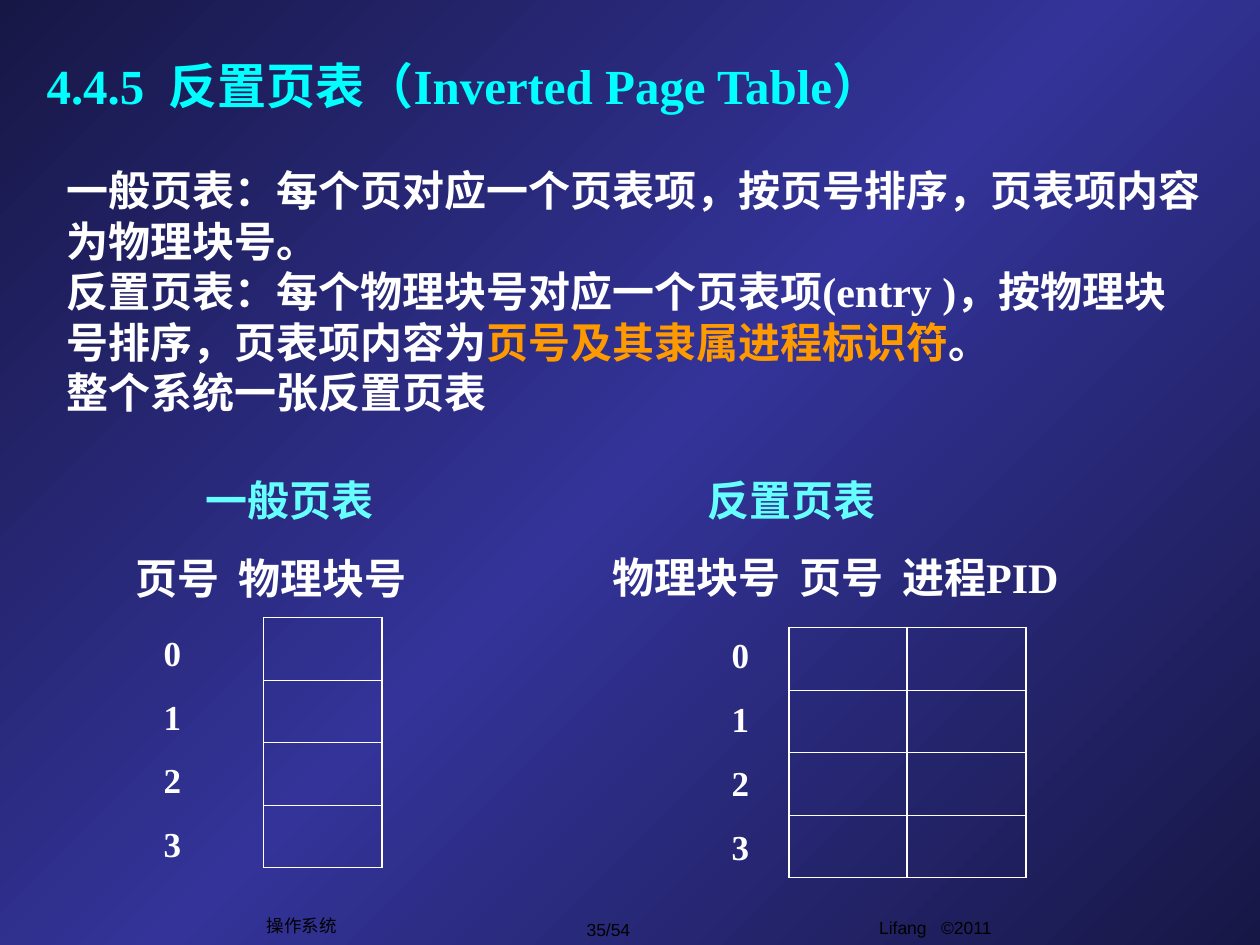
import copy

import pptx
import pptx.dml.color
import pptx.enum.text
import pptx.oxml
import pptx.oxml.ns
import pptx.util
from pptx.util import Cm

RGBColor = pptx.dml.color.RGBColor
Align = pptx.enum.text.PP_ALIGN
Anchor = pptx.enum.text.MSO_ANCHOR

NAVY = RGBColor(0x17, 0x17, 0x46)
INDIGO = RGBColor(0x33, 0x33, 0x99)
WHITE = RGBColor(0xFF, 0xFF, 0xFF)
BLACK = RGBColor(0x00, 0x00, 0x00)
CYAN = RGBColor(0x00, 0xFF, 0xFF)
PALE_CYAN = RGBColor(0x66, 0xFF, 0xFF)
ORANGE = RGBColor(0xFF, 0x99, 0x00)

THICK, THIN = 1.08, 0.45
FRAMES = 4
ROW_HEIGHT = Cm(1.26)
COLUMN_WIDTH = Cm(2.39)


class PageTableSlide:
    """Holds the text style and the slide being filled."""

    serif = "Times New Roman"
    sans = "Arial"

    def __init__(self, slide):
        self.slide = slide

    def background(self, edge, middle):
        fill = self.slide.background.fill
        fill.gradient()
        fill.gradient_angle = 135
        stop_list = self.slide.element.xpath(".//p:bg//a:gsLst")[0]
        stop_list.insert(1, copy.deepcopy(stop_list[0]))
        stop_list[1].set("pos", "50000")
        for stop, color in zip(fill.gradient_stops, (edge, middle, edge)):
            stop.color.rgb = color

    def text(self, place, paragraphs, size, color=WHITE, gap=0, tab=None):
        """Add bold serif text; a paragraph is a string or (string, colour) parts."""
        frame = self.slide.shapes.add_textbox(*map(Cm, place)).text_frame
        frame.word_wrap = True
        for index, content in enumerate(paragraphs):
            paragraph = frame.paragraphs[0] if index == 0 else frame.add_paragraph()
            if tab:
                self.tab_stop(paragraph, tab)
            if index and gap:
                paragraph.space_before = pptx.util.Pt(gap)
            self.font(paragraph, self.serif, size, color, True)
            parts = [(content, None)] if isinstance(content, str) else content
            for words, accent in parts:
                run = paragraph.add_run()
                run.text = words
                if accent is not None:
                    run.font.color.rgb = accent

    def footer(self, place, words, wrap=False):
        frame = self.slide.shapes.add_textbox(*map(Cm, place)).text_frame
        frame.word_wrap = wrap
        frame.vertical_anchor = Anchor.TOP if wrap else Anchor.MIDDLE
        paragraph = frame.paragraphs[0]
        paragraph.text = words
        paragraph.alignment = Align.CENTER
        self.font(paragraph, self.sans, 10, BLACK, False)

    def column(self, left, top):
        """Add one empty table column with a thicker outer frame."""
        table = self.slide.shapes.add_table(
            FRAMES, 1, Cm(left), Cm(top), COLUMN_WIDTH, FRAMES * ROW_HEIGHT
        ).table
        table.first_row = table.horz_banding = False
        for index, row in enumerate(table.rows):
            row.height = ROW_HEIGHT
            cell = row.cells[0]
            self.border(cell, "L", THICK)
            self.border(cell, "R", THICK)
            self.border(cell, "T", THICK if index == 0 else THIN)
            self.border(cell, "B", THICK if index == FRAMES - 1 else THIN)
            cell.fill.background()

    @staticmethod
    def font(paragraph, name, size, color, bold):
        font = paragraph.font
        font.name, font.size, font.bold = name, pptx.util.Pt(size), bold
        font.color.rgb = color

    @staticmethod
    def tab_stop(paragraph, position):
        properties = paragraph._p.get_or_add_pPr()
        properties.append(pptx.oxml.parse_xml(
            f'<a:tabLst {pptx.oxml.ns.nsdecls("a")}>'
            f'<a:tab pos="{Cm(position)}" algn="l"/></a:tabLst>'
        ))

    @staticmethod
    def border(cell, side, width):
        cell._tc.get_or_add_tcPr().append(pptx.oxml.parse_xml(
            f'<a:ln{side} {pptx.oxml.ns.nsdecls("a")} w="{pptx.util.Pt(width)}">'
            f'<a:solidFill><a:srgbClr val="{WHITE}"/></a:solidFill></a:ln{side}>'
        ))


def main():
    deck = pptx.Presentation()
    deck.slide_width, deck.slide_height = Cm(25.4), Cm(19.05)
    page = PageTableSlide(deck.slides.add_slide(deck.slide_layouts[6]))
    page.background(NAVY, INDIGO)

    # Footer
    page.footer((14.83, 18.36, 8.05, 0.89), "Lifang   ©2011", wrap=True)
    page.footer((10.97, 18.39, 2.59, 0.69), "35/54")
    page.footer((5.13, 18.31, 1.91, 0.69), "操作系统")

    # Title and definitions
    page.text((0.69, 0.99, 21.59, 1.45),
              ["4.4.5  反置页表（Inverted Page Table）"], 28, CYAN)
    page.text((1.09, 3.2, 23.5, 5.33), [
        "一般页表：每个页对应一个页表项，按页号排序，页表项内容为物理块号。",
        [("反置页表：每个物理块号对应一个页表项(entry )，按物理块号排序，页表项内容为", None),
         ("页号及其隶属进程标识符", ORANGE),
         ("。", None)],
        "整个系统一张反置页表",
    ], 24)

    # Names of the two page tables
    page.text((3.89, 9.45, 18.01, 2.29), ["一般页表\t反置页表"], 24, PALE_CYAN, tab=10.13)

    # Column headings
    page.text((2.49, 11.02, 6.2, 2.29), ["页号  物理块号"], 24)
    page.text((12.09, 11, 11.81, 1.27), ["物理块号  页号  进程PID"], 24)

    # Row numbers
    numbers = [str(number) for number in range(FRAMES)]
    page.text((3.05, 12.6, 2.01, 4.98), numbers, 20, gap=12.5)
    page.text((14.5, 12.65, 1.19, 4.98), numbers, 20, gap=12.5)

    # Ordinary table, then the two columns of the inverted table
    page.column(5.31, 12.45)
    for left in (15.9, 18.29):
        page.column(left, 12.65)

    deck.save("out.pptx")


if __name__ == "__main__":
    main()
